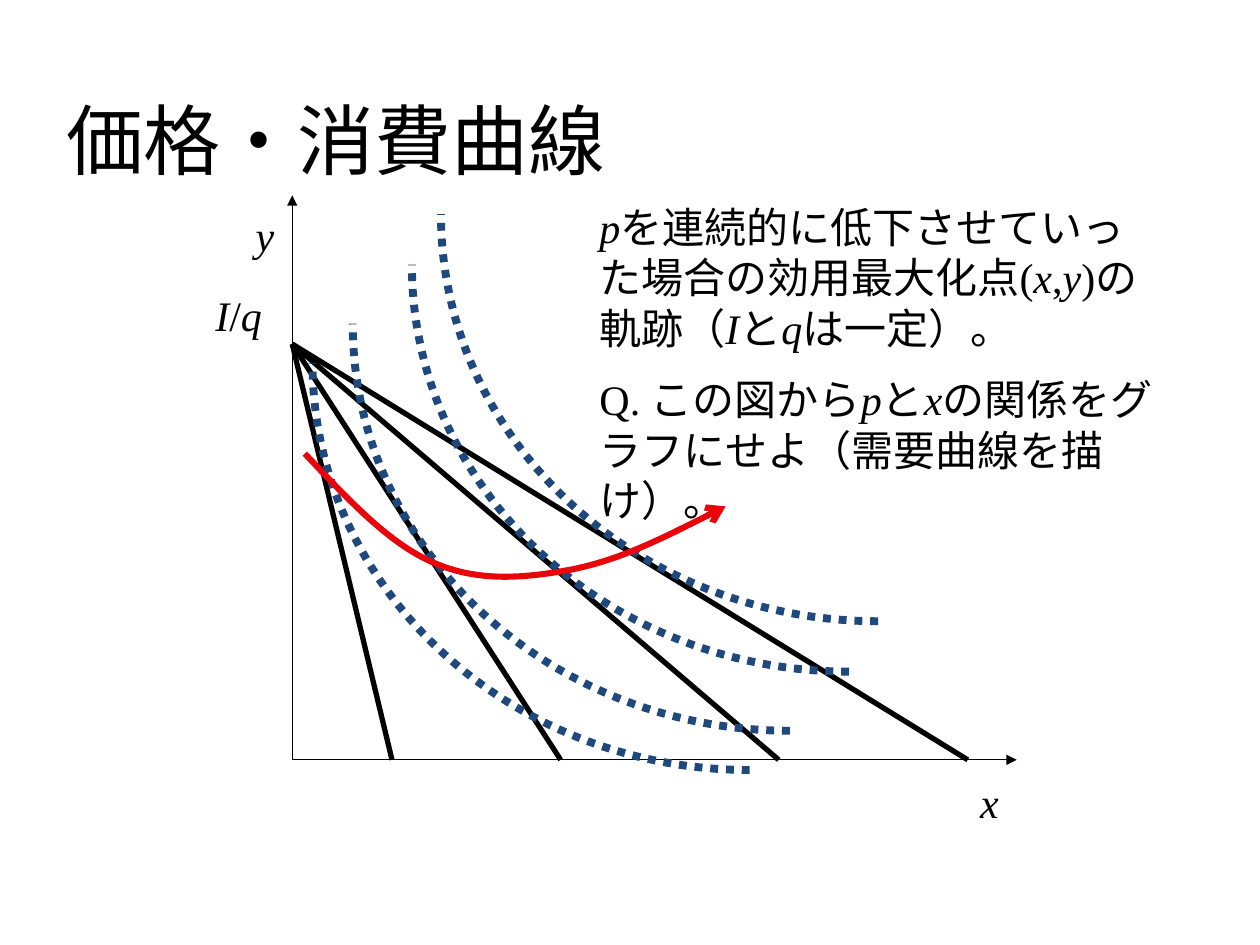
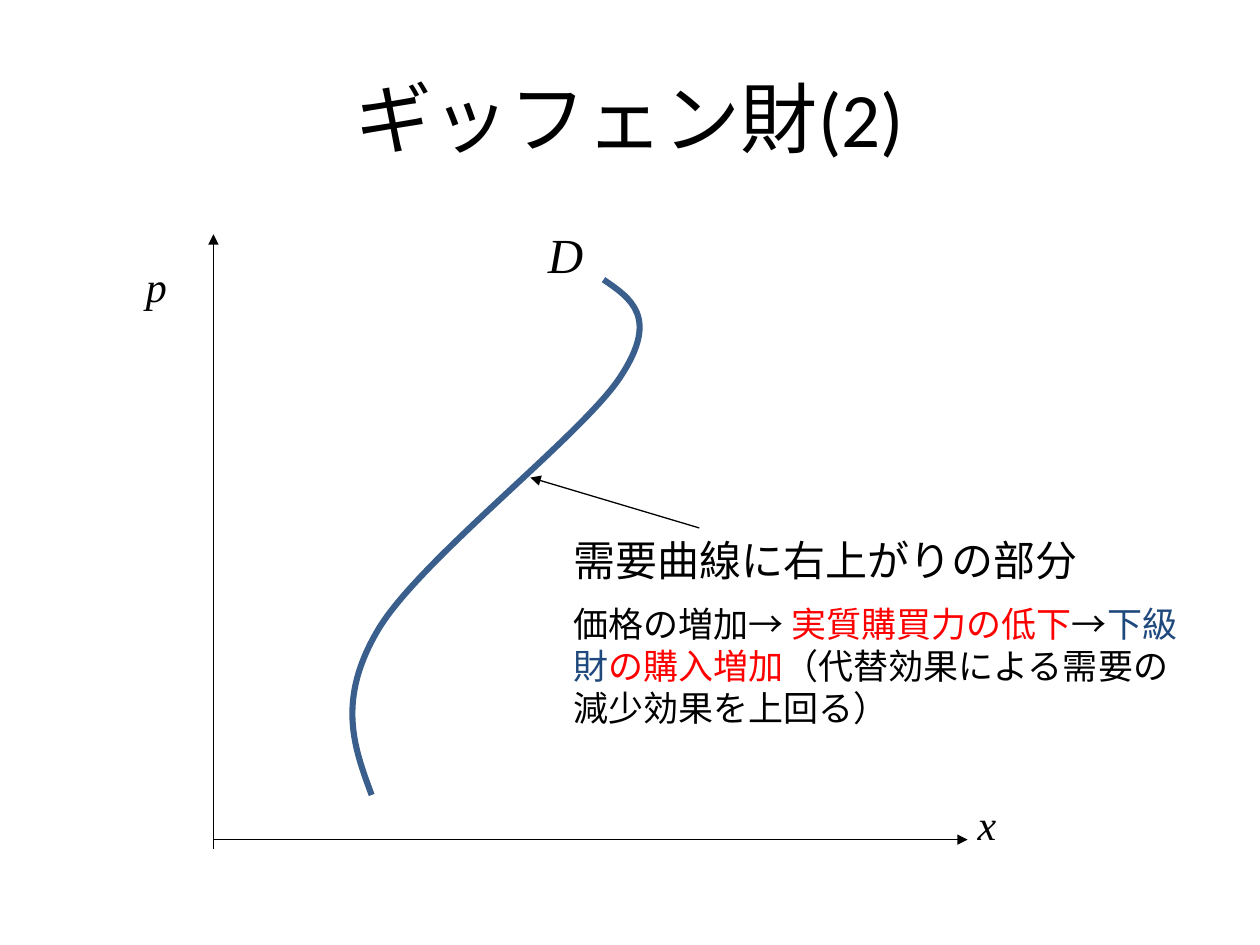
"""Builds two slides on the price-consumption curve and Giffen goods."""
import pptx
import pptx.dml.color
import pptx.enum.dml
import pptx.enum.shapes
import pptx.enum.text
import pptx.oxml.ns
import pptx.util
import lxml.etree

COLOURS = {
    "black": "000000",
    "navy": "1F497D",
    "steel": "3A5F8C",
    "crimson": "E8060B",
    "red": "FF0000",
}
SERIF = {"name": "Times New Roman", "size": pptx.util.Pt(24)}
SANS = {"name": "Arial", "size": pptx.util.Pt(24)}
TITLE = {"name": "Calibri", "size": pptx.util.Pt(44)}
KAPPA = 0.5523


def colour(name):
    return pptx.dml.color.RGBColor.from_string(COLOURS[name])


def add_element(parent, tag, **attributes):
    element = lxml.etree.SubElement(parent, pptx.oxml.ns.qn(tag))
    for name, value in attributes.items():
        element.set(name, value)
    return element


def math_runs(text):
    """Split text at underscores; every second piece is an italic symbol."""
    pieces = enumerate(text.split("_"))
    return [(piece, {"italic": i % 2 == 1}) for i, piece in pieces if piece]


def add_text(slide, box, paragraphs, base, frame_format=None, centred=False):
    """Write paragraphs, each a list of (text, format) runs, into a text box."""
    frame = slide.shapes.add_textbox(*map(pptx.util.Pt, box)).text_frame
    settings = {"word_wrap": True,
                "auto_size": pptx.enum.text.MSO_AUTO_SIZE.SHAPE_TO_FIT_TEXT}
    for name, value in {**settings, **(frame_format or {})}.items():
        setattr(frame, name, value)
    for index, runs in enumerate(paragraphs):
        paragraph = frame.add_paragraph() if index else frame.paragraphs[0]
        if centred:
            paragraph.alignment = pptx.enum.text.PP_ALIGN.CENTER
        else:
            spacing = add_element(paragraph._p.get_or_add_pPr(), "a:spcBef")
            add_element(spacing, "a:spcPct", val="50000")
        for text, run_format in runs:
            run = paragraph.add_run()
            run.text = text
            values = {"color": "black", **base, **run_format}
            run.font.color.rgb = colour(values.pop("color"))
            for name, value in values.items():
                setattr(run.font, name, value)


def add_title(slide, box, text):
    """Write a centred title that stays on one line."""
    frame_format = {"vertical_anchor": pptx.enum.text.MSO_ANCHOR.MIDDLE,
                    "auto_size": pptx.enum.text.MSO_AUTO_SIZE.NONE,
                    "word_wrap": False, "margin_left": 0, "margin_right": 0}
    add_text(slide, box, [[(text, {})]], TITLE, frame_format, centred=True)


def add_label(slide, box, text, size=24, wrap=True):
    base = {**SERIF, "size": pptx.util.Pt(size)}
    add_text(slide, box, [math_runs(text)], base, {"word_wrap": wrap})


def style_line(line, colour_name, width, arrow=None, dash=None):
    line.color.rgb = colour(colour_name)
    line.width = pptx.util.Pt(width)
    if dash:
        line.dash_style = dash
    if arrow:
        add_element(line._get_or_add_ln(), "a:tailEnd", type=arrow)


def add_line(slide, start, end, width=0.75, arrow=None):
    connector = slide.shapes.add_connector(
        pptx.enum.shapes.MSO_CONNECTOR.STRAIGHT,
        *map(pptx.util.Pt, (*start, *end)))
    style_line(connector.line, "black", width, arrow)
    add_element(connector._element.spPr, "a:effectLst")


def add_curve(slide, points, *line_style, **line_options):
    """Draw Bezier pieces through a start point and triples of points."""
    start, *rest = [tuple(map(pptx.util.Pt, point)) for point in points]
    builder = slide.shapes.build_freeform(*start)
    builder.add_line_segments(rest, close=False)
    shape = builder.convert_to_shape()
    segments = list(shape._element.iter(pptx.oxml.ns.qn("a:lnTo")))
    outline = segments[0].getparent()
    for index, segment in enumerate(segments):
        if index % 3 == 0:
            bezier = add_element(outline, "a:cubicBezTo")
        bezier.append(segment[0])
        outline.remove(segment)
    shape.shadow.inherit = False
    shape.fill.background()
    style_line(shape.line, *line_style, **line_options)


def add_indifference_curve(slide, left, top, width=249.8, height=232.6):
    right, bottom = left + width, top + height
    points = [(right, bottom), (right - KAPPA * width, bottom),
              (left, top + KAPPA * height), (left, top)]
    add_curve(slide, points, "navy", 4.5,
              dash=pptx.enum.dml.MSO_LINE.ROUND_DOT)


def build_price_consumption(slide):
    add_title(slide, (36, 36, 312.5, 86.4), "価格・消費曲線")
    origin, intercept = (167, 434.2), (167, 196.6)
    for end in ((167, 111.6), (581, 434.2)):
        add_line(slide, origin, end, arrow="triangle")
    for x in (224, 320.4, 445, 553):
        add_line(slide, intercept, (x, origin[1]), width=3)
    add_label(slide, (553, 440, 28, 36), "_x_")
    add_label(slide, (139, 116, 22.3, 36), "_y_")
    add_label(slide, (116, 162, 45.4, 36), "_I_/_q_")
    for corner in ((178.6, 207.4), (201.6, 185), (235.4, 151.2), (252, 122.4)):
        add_indifference_curve(slide, *corner)
    add_text(slide, (335.5, 111.6, 336.2, 167), [
        math_runs("_p_を連続的に低下させていった場合の効用最大化点(_x_,_y_)"
                  "の軌跡（_I_と_q_は一定）。"),
        math_runs("Q. この図から_p_と_x_の関係をグラフにせよ（需要曲線を描け）。"),
    ], SERIF)
    add_curve(slide, [
        (174.2, 259.2), (198.7, 285.1), (222.5, 311), (248.4, 321.8),
        (273.6, 332.6), (299.5, 330.5), (326.9, 325.4),
        (355, 319.7), (384.5, 304.6), (414.7, 289.4),
    ], "crimson", 3.5, arrow="arrow")


def build_giffen(slide):
    add_title(slide, (36, 21.6, 648, 90), "ギッフェン財(2)")
    add_line(slide, (122, 479.8), (553, 479.8), arrow="triangle")
    add_line(slide, (122, 485.3), (122, 133.9), arrow="triangle")
    add_label(slide, (76.3, 145.4, 28, 36), "_p_")
    add_label(slide, (551.5, 452.9, 25.2, 36), "_x_", wrap=False)
    add_label(slide, (306, 124.6, 39.6, 41), "_D_", size=28)
    add_line(slide, (399.6, 301.7), (303.1, 272.9), arrow="triangle")
    small = {"size": pptx.util.Pt(20)}
    chain = [("価格の増加→ ", "black"), ("実質購買力の低下", "red"),
             ("→", "black"), ("下級財", "navy"), ("の購入増加", "red"),
             ("（代替効果による需要の減少効果を上回る）", "black")]
    add_text(slide, (320.4, 301.7, 368.6, 121), [
        [("需要曲線に右上がりの部分", {})],
        [(text, {**small, "color": name}) for text, name in chain],
    ], SANS)
    add_curve(slide, [
        (344.9, 159.8), (360.7, 170.6), (376.6, 181.4), (355, 214.6),
        (334.1, 247.7), (239.8, 319.7), (216, 360),
        (192.2, 400.3), (202.3, 427), (212.4, 454.3),
    ], "steel", 3.5)


def main():
    presentation = pptx.Presentation()
    presentation.slide_width = pptx.util.Pt(720)
    presentation.slide_height = pptx.util.Pt(540)
    for build in (build_price_consumption, build_giffen):
        build(presentation.slides.add_slide(presentation.slide_layouts[6]))
    presentation.save("out.pptx")


main()
